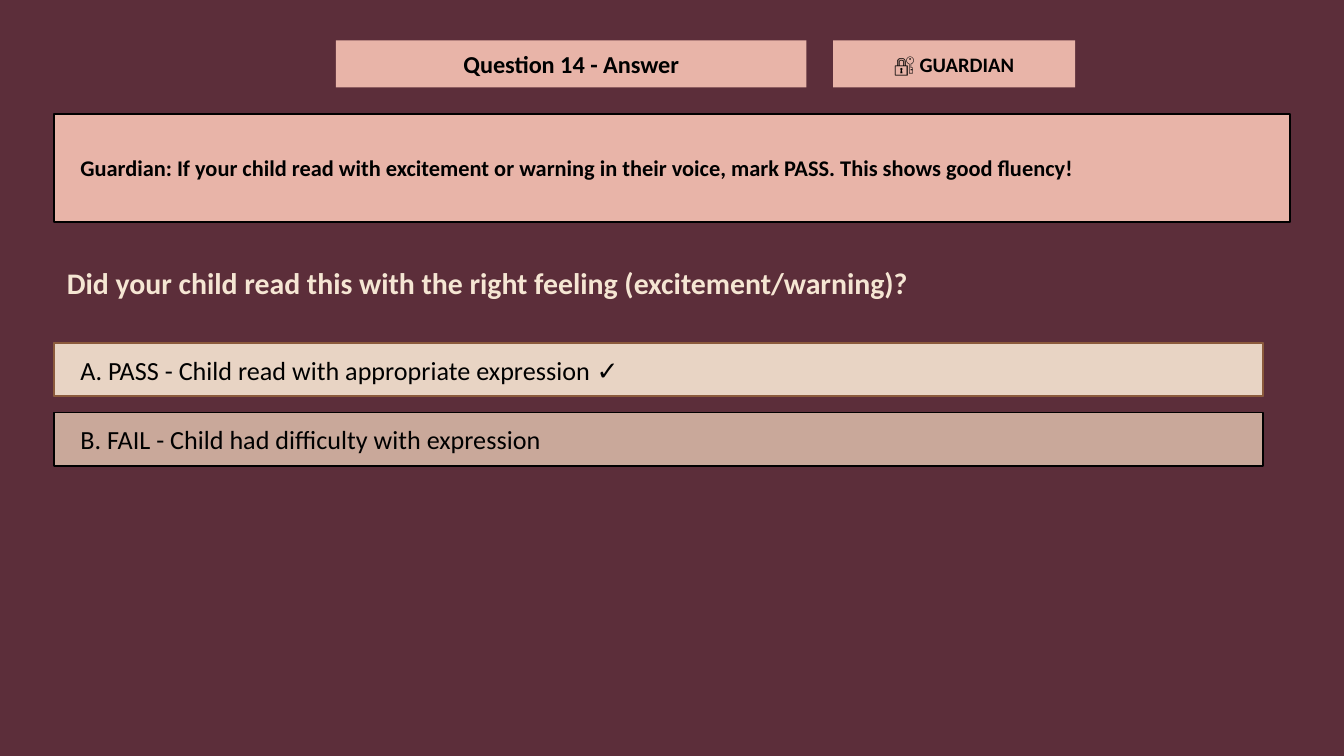
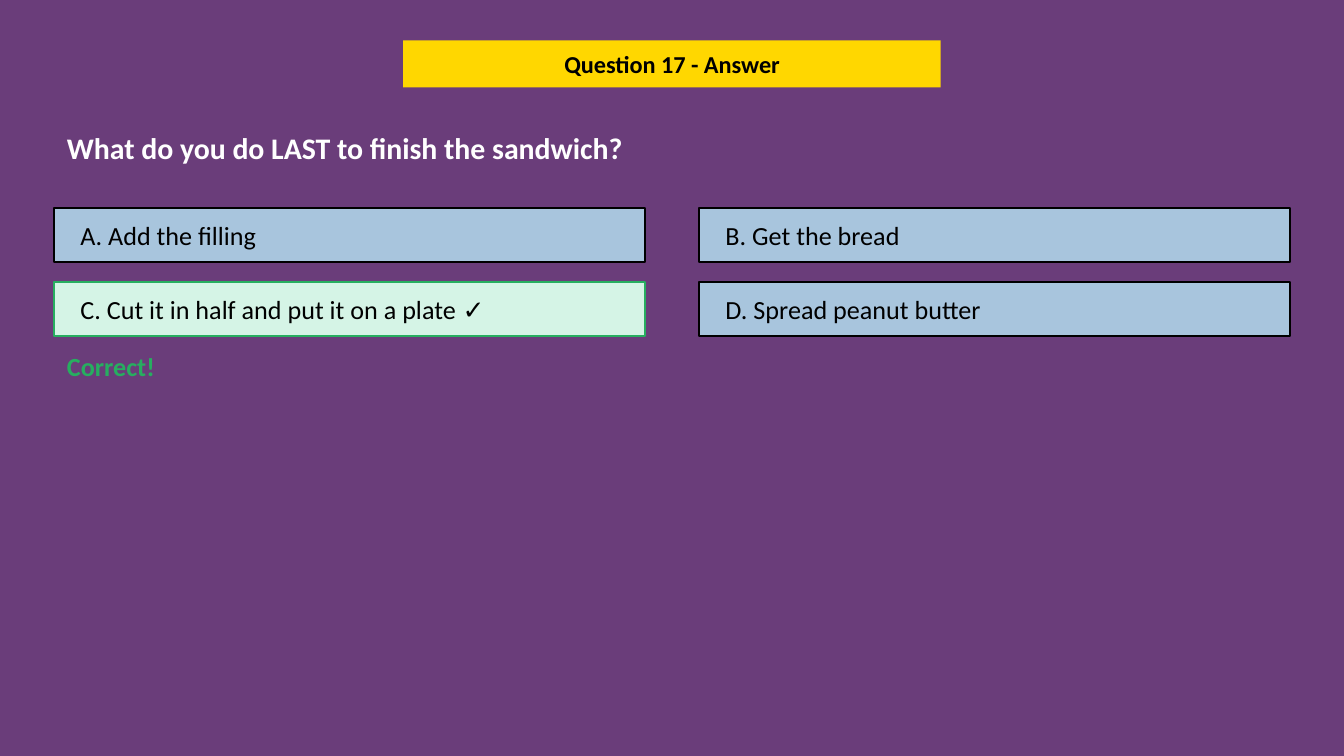
import pptx
import pptx.dml.color
import pptx.enum.shapes
import pptx.enum.text
import pptx.util

SLIDE_WIDTH = 10
SLIDE_HEIGHT = SLIDE_WIDTH * 9 / 16
MARGIN = 0.4
FULL_WIDTH = SLIDE_WIDTH - 2 * MARGIN
BADGE_TOP, BADGE_HEIGHT = 0.3, 0.35
BODY_TOP = 0.85
ANSWER_HEIGHT = 0.4
LABEL_INSET_X, LABEL_INSET_Y = 0.1, 0.02
BLACK = "000000"
ROSE, BLUE = "E8B4A8", "A8C5DD"
MINT, GREEN = "D5F4E6", "27AE60"


def rgb(hex_color):
    return pptx.dml.color.RGBColor.from_string(hex_color)


def add_block(slide, at, text="", size=14, color=BLACK, bold=False,
              fill=None, line=None, centered=False):
    """Add a filled rectangle, or a plain text box when there is no fill."""
    left, top, width, height = [pptx.util.Inches(round(length, 2))
                                for length in at]
    if fill:
        block = slide.shapes.add_shape(
            pptx.enum.shapes.MSO_SHAPE.RECTANGLE, left, top, width, height)
        block.shadow.inherit = False
        block.fill.solid()
        block.fill.fore_color.rgb = rgb(fill)
        if line:
            block.line.color.rgb = rgb(line)
            block.line.width = pptx.util.Pt(1)
        else:
            block.line.fill.background()
    else:
        block = slide.shapes.add_textbox(left, top, width, height)
    if not text:
        return
    frame = block.text_frame
    frame.word_wrap = True
    frame.vertical_anchor = pptx.enum.text.MSO_ANCHOR.MIDDLE
    paragraph = frame.paragraphs[0]
    align = pptx.enum.text.PP_ALIGN
    paragraph.alignment = align.CENTER if centered else align.LEFT
    run = paragraph.add_run()
    run.text = text
    run.font.name = "Calibri"
    run.font.size = pptx.util.Pt(size)
    run.font.bold = bold
    run.font.color.rgb = rgb(color)


# Badges: left, width, text, size. Answers: text, fill, outline.
questions = [
    {
        "background": "5C2E3A",
        "badge_fill": ROSE,
        "badges": [(2.5, 3.5, "Question 14 - Answer", 13),
                   (6.2, 1.8, "🔐 GUARDIAN", 11)],
        "guidance": "Guardian: If your child read with excitement or warning "
                    "in their voice, mark PASS. This shows good fluency!",
        "prompt": "Did your child read this with the right feeling "
                  "(excitement/warning)?",
        "prompt_color": "F5E6D3",
        "columns": 1, "answer_width": 9, "row_pitch": 0.52,
        "answers": [
            ("A. PASS - Child read with appropriate expression ✓",
             "E8D4C4", "8B5A3C"),
            ("B. FAIL - Child had difficulty with expression",
             "C9A89A", BLACK),
        ],
        "feedback": None,
    },
    {
        "background": "6A3D7A",
        "badge_fill": "FFD700",
        "badges": [(3, 4, "Question 17 - Answer", 13)],
        "guidance": None,
        "prompt": "What do you do LAST to finish the sandwich?",
        "prompt_color": "FFFFFF",
        "columns": 2, "answer_width": 4.4, "row_pitch": 0.55,
        "answers": [
            ("A. Add the filling", BLUE, BLACK),
            ("B. Get the bread", BLUE, BLACK),
            ("C. Cut it in half and put it on a plate ✓", MINT, GREEN),
            ("D. Spread peanut butter", BLUE, BLACK),
        ],
        "feedback": "Correct!",
    },
]

deck = pptx.Presentation()
deck.slide_width = pptx.util.Inches(SLIDE_WIDTH)
deck.slide_height = pptx.util.Inches(SLIDE_HEIGHT)

for question in questions:
    slide = deck.slides.add_slide(deck.slide_layouts[6])
    slide.background.fill.solid()
    slide.background.fill.fore_color.rgb = rgb(question["background"])

    for left, width, text, size in question["badges"]:
        add_block(slide, (left, BADGE_TOP, width, BADGE_HEIGHT), text, size,
                  bold=True, fill=question["badge_fill"], centered=True)

    prompt_top = BODY_TOP
    if question["guidance"]:
        add_block(slide, (MARGIN, BODY_TOP, FULL_WIDTH, 0.8),
                  fill=ROSE, line=BLACK)
        add_block(slide, (MARGIN + 0.1, BODY_TOP + 0.05, FULL_WIDTH - 0.2, 0.7),
                  question["guidance"], 12, bold=True)
        prompt_top += 1

    add_block(slide, (MARGIN, prompt_top, FULL_WIDTH, 0.5),
              question["prompt"], 16, question["prompt_color"], bold=True)

    answers_top = prompt_top + 0.7
    width = question["answer_width"]
    for index, (text, fill, outline) in enumerate(question["answers"]):
        row, column = divmod(index, question["columns"])
        left = MARGIN + column * (width + MARGIN)
        top = answers_top + row * question["row_pitch"]
        add_block(slide, (left, top, width, ANSWER_HEIGHT),
                  fill=fill, line=outline)
        add_block(slide, (left + LABEL_INSET_X, top + LABEL_INSET_Y,
                          width - 2 * LABEL_INSET_X,
                          ANSWER_HEIGHT - 2 * LABEL_INSET_Y), text)

    if question["feedback"]:
        add_block(slide, (MARGIN, top + ANSWER_HEIGHT + 0.05, FULL_WIDTH, 0.35),
                  question["feedback"], color=GREEN, bold=True)

deck.save("out.pptx")
